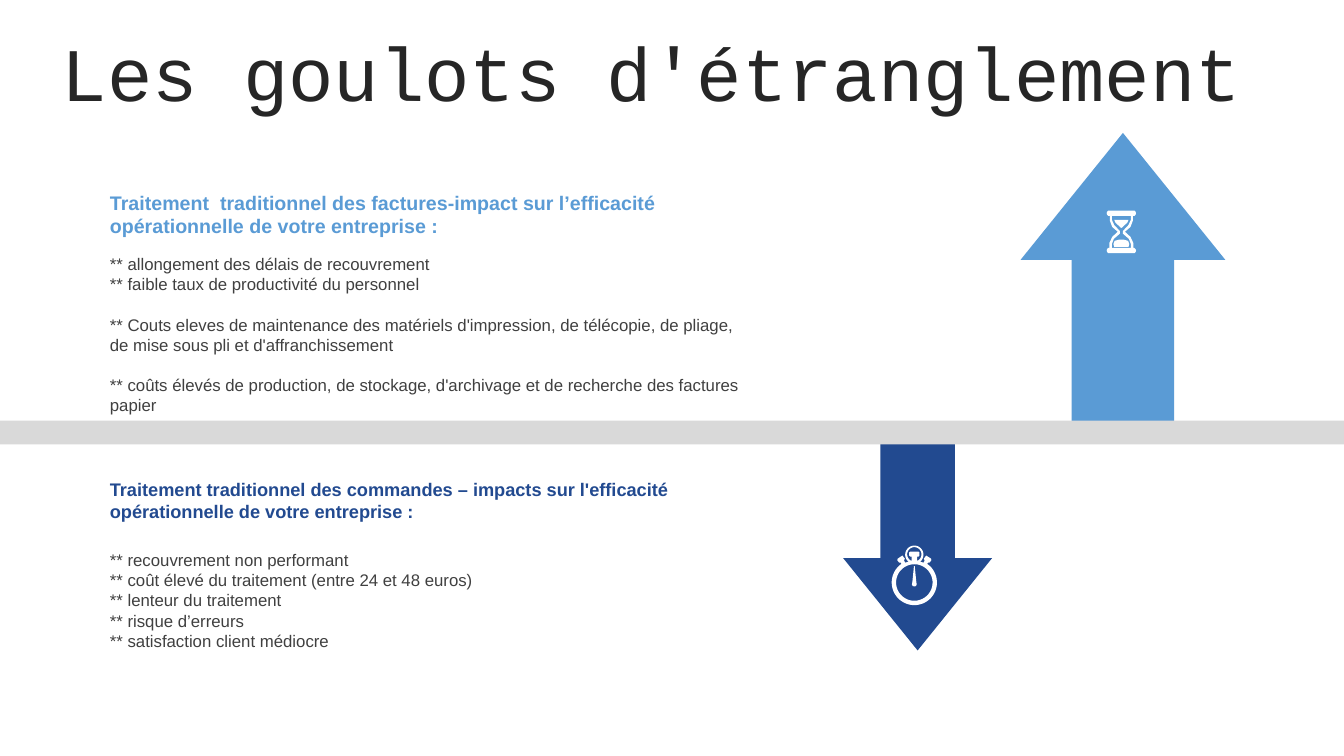
from math import cos, radians, sin

from pptx import Presentation
from pptx.util import Cm, Pt
from pptx.dml.color import RGBColor
from pptx.enum.shapes import MSO_SHAPE
from pptx.enum.text import PP_ALIGN, MSO_ANCHOR

UP, RECT = MSO_SHAPE.UP_ARROW, MSO_SHAPE.RECTANGLE
CENTER, MIDDLE = PP_ALIGN.CENTER, MSO_ANCHOR.MIDDLE

SKY = RGBColor(0x5A, 0x9B, 0xD5)
NAVY = RGBColor(0x22, 0x4A, 0x90)
DARK = RGBColor(0x26, 0x26, 0x26)
GRAY = RGBColor(0x40, 0x40, 0x40)
SILVER = RGBColor(0xD9, 0xD9, 0xD9)
WHITE = RGBColor(0xFF, 0xFF, 0xFF)

deck = Presentation()
deck.slide_width, deck.slide_height = Cm(33.87), Cm(19.05)
slide = deck.slides.add_slide(deck.slide_layouts[6])


def add_text(box, lines, color, form):
    """Each line is a pair: text, space before in points."""
    frame = slide.shapes.add_textbox(*map(Cm, box)).text_frame
    frame.word_wrap = True
    for i, (text, gap) in enumerate(lines):
        para = frame.paragraphs[0] if i == 0 else frame.add_paragraph()
        if gap:
            para.space_before = Pt(gap)
        run = para.add_run()
        run.text = text
        run.font.color.rgb = color
        for key, value in form.items():
            setattr(run.font, key, value)
    return frame


def paint(shape, color, turn):
    shape.shadow.inherit = False
    shape.fill.solid()
    shape.fill.fore_color.rgb = color
    shape.line.fill.background()
    shape.rotation = turn


# Title
title = add_text((0.91, 0.94, 32.16, 2.01), [("Les goulots d'étranglement ", 0)],
                 DARK, {"name": "Courier New", "size": Pt(54)})
title.vertical_anchor = MIDDLE
title.paragraphs[0].alignment = CENTER
title.paragraphs[0].line_spacing = 0.9

# Arrows
for box, color, turn in [((25.72, 3.35, 5.16, 7.26), SKY, 0),
                         ((21.25, 11.1, 3.75, 5.29), NAVY, 180)]:
    arrow = slide.shapes.add_shape(UP, *map(Cm, box))
    arrow.adjustments[0], arrow.adjustments[1] = 0.5, 0.62
    paint(arrow, color, turn)

# Headings and lists
LEFT, WIDE, BLANK = 2.52, 16.48, 14.4
head = {"name": "Arial", "bold": True}
body = {"name": "Arial", "size": Pt(12)}
blocks = [
    (6.27, 4.32, [
        ("** allongement des délais de recouvrement", 0),
        ("** faible taux de productivité du personnel", 0),
        ("** Couts eleves de maintenance des matériels d'impression, de télécopie, "
         "de pliage, de mise sous pli et d'affranchissement", BLANK),
        ("** coûts élevés de production, de stockage, d'archivage et de recherche "
         "des factures papier", BLANK)], GRAY, body),
    (4.68, 2.03, [
        ("Traitement  traditionnel des factures-impact sur l’efficacité "
         "opérationnelle de votre entreprise :", 0)], SKY, {**head, "size": Pt(14)}),
    (13.73, 2.79, [
        ("** recouvrement non performant", 0),
        ("** coût élevé du traitement (entre 24 et 48 euros)", 0),
        ("** lenteur du traitement", 0),
        ("** risque d’erreurs", 0),
        ("** satisfaction client médiocre", 0)], GRAY, body),
    (11.94, 1.35, [
        ("Traitement traditionnel des commandes – impacts sur l'efficacité "
         "opérationnelle de votre entreprise :", 0)], NAVY, {**head, "size": Pt(13)}),
]
for top, high, lines, color, form in blocks:
    add_text((LEFT, top, WIDE, high), lines, color, form)

# Divider
bar = slide.shapes.add_shape(RECT, 0, Cm(10.6), Cm(33.87), Cm(0.6))
paint(bar, SILVER, 0)

# Right halves of the icon outlines, in tenths of a millimetre from axis and top
hourglass = [
    [(0, 0), (33, 0), (36, 3), (37, 6), (36, 10), (33, 13), (29, 13), (29, 25),
     (23, 41), (9, 53), (23, 66), (30, 81), (30, 94), (33, 94), (36, 97),
     (37, 101), (36, 104), (33, 107), (0, 107)],
    [(24, 13), (24, 23), (18, 36), (4, 51), (4, 58), (19, 71), (24, 84), (24, 94)],
    [(18, 23), (15, 30), (1, 43)],
    [(6, 73), (17, 76), (20, 84), (18, 91)],
]
# Arcs of the watch: centre height, radius, first and last angle from the top
loop, dial, hole, eye = [
    [(rad * sin(radians(deg)), mid - rad * cos(radians(deg)))
     for deg in range(first, last + 1, 5)]
    for mid, rad, first, last in [(23, 23, 0, 140), (93, 57, 35, 180),
                                  (93, 46, 0, 180), (22, 18, 0, 150)]]
watch = [
    loop + [(23, 43), (26, 38), (24, 33), (30, 25), (42, 33), (43, 37), (38, 43),
            (34, 43)] + dial,
    hole,
    [(1, 52), (5, 92), (6, 98), (4, 102), (0, 103)],
    eye + [(7, 38), (7, 28), (10, 28), (13, 25), (13, 17), (10, 15), (0, 15)],
]

# Icons: outlines are mirrored, then laid out in the frame that the turn sets upright
icons = [(hourglass, 2826, 531, 2826, 584.5, 313.4),
         (watch, 2308, 1374, 2309, 1460.5, 36)]
for halves, axis, top, mid_x, mid_y, turn in icons:
    dx, dy = cos(radians(turn)), sin(radians(turn))
    icon = None
    for half in halves:
        ring = half + [(-x, y) for x, y in reversed(half)]
        ring = [(axis + x - mid_x, top + y - mid_y) for x, y in ring]
        ring = [(10 * (mid_x + x * dx + y * dy), 10 * (mid_y - x * dy + y * dx))
                for x, y in ring]
        if icon is None:
            icon = slide.shapes.build_freeform(*ring[0], scale=Cm(0.001))
        else:
            icon.move_to(*ring[0])
        icon.add_line_segments(ring[1:], close=True)
    paint(icon.convert_to_shape(), WHITE, turn)

deck.save("out.pptx")
